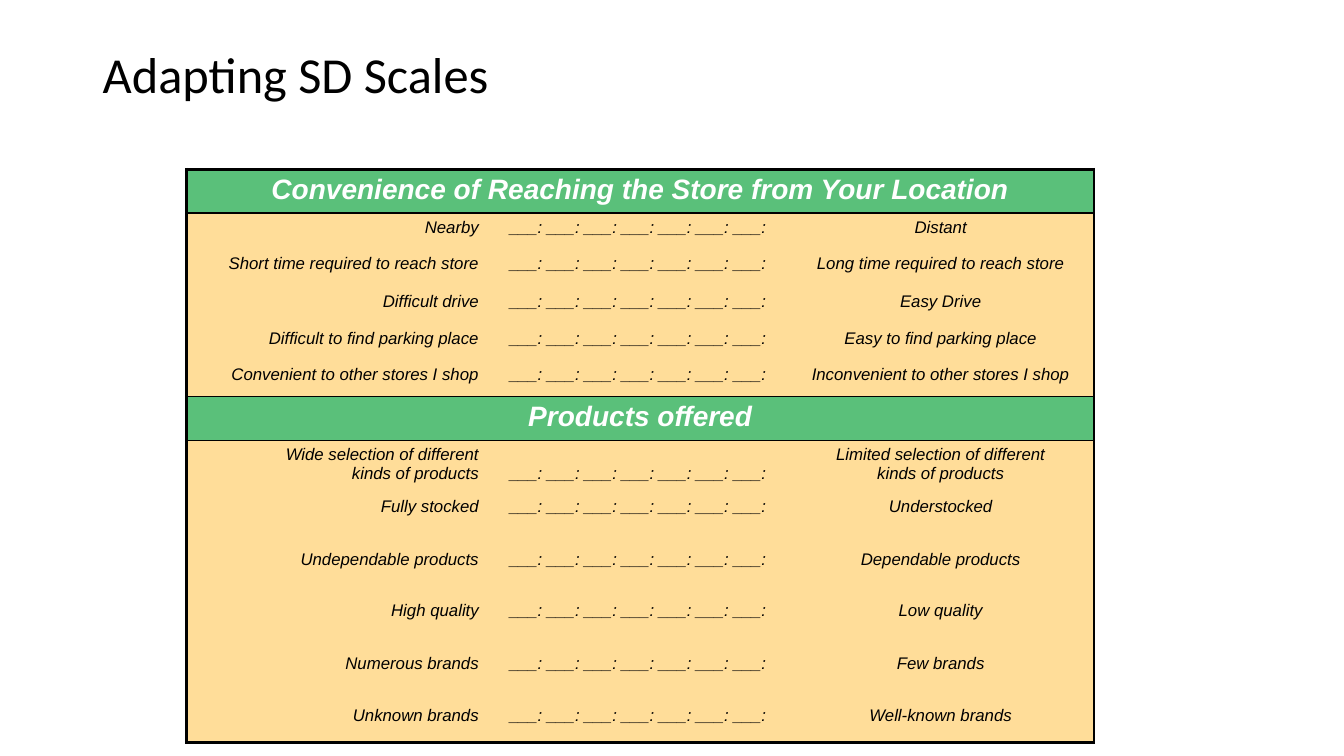
from pptx import Presentation
from pptx.dml.color import RGBColor
from pptx.enum.text import PP_ALIGN
from pptx.oxml.ns import qn
from pptx.util import Inches, Pt
from lxml.etree import SubElement

COLORS = {"black": "000000", "white": "FFFFFF", "green": "5AC07A", "sand": "FFDD99"}
SCALE = "___: ___: ___: ___: ___: ___: ___:"
THICK, THIN = 2.25, 1

groups = [
    ("Convenience of Reaching the Store from Your Location", [
        ("Nearby", "Distant", 0.36),
        ("Short time required to reach store", "Long time required to reach store", 0.38),
        ("Difficult drive", "Easy Drive", 0.36),
        ("Difficult to find parking place", "Easy to find parking place", 0.36),
        ("Convenient to other stores I shop", "Inconvenient to other stores I shop", 0.36),
    ]),
    ("Products offered", [
        ("Wide selection of different\vkinds of products",
         "Limited selection of different\vkinds of products", 0.52),
        ("Fully stocked", "Understocked", 0.52),
        ("Undependable products", "Dependable products", 0.51),
        ("High quality", "Low quality", 0.52),
        ("Numerous brands", "Few brands", 0.52),
        ("Unknown brands", "Well-known brands", 0.41),
    ]),
]


def write(para, text, font, size, color):
    for i, part in enumerate(text.split("\v")):
        if i:
            para.add_line_break()
        run = para.add_run()
        run.text = part
        run.font.name = font
        run.font.size = Pt(size)
        run.font.color.rgb = RGBColor.from_string(COLORS[color])


def border(cell, sides):
    props = cell._tc.get_or_add_tcPr()
    for side in "LRTB":
        width = sides.get(side, 0)
        line = SubElement(props, qn("a:ln" + side), w=str(int(Pt(width))))
        if width:
            fill = SubElement(line, qn("a:solidFill"))
            SubElement(fill, qn("a:srgbClr"), val=COLORS["black"])
        else:
            SubElement(line, qn("a:noFill"))


prs = Presentation()
prs.slide_width, prs.slide_height = Inches(13.33), Inches(7.5)
slide = prs.slides.add_slide(prs.slide_layouts[6])

title = slide.shapes.add_textbox(Inches(0.92), Inches(0.4), Inches(11.5), Inches(1.45))
title.text_frame.word_wrap = True
para = title.text_frame.paragraphs[0]
para.line_spacing = 0.9
write(para, "Adapting SD Scales", "Calibri", 36, "black")
write(para, " ", "Calibri", 40, "black")

rows = []
for head, pairs in groups:
    rows.append((True, 0.43, (head, "", "")))
    for left, right, height in pairs:
        rows.append((False, height, (left, SCALE, right)))

frame = slide.shapes.add_table(len(rows), 3, Inches(1.85), Inches(1.68), Inches(9), Inches(5.68))
table = frame.table
table.first_row = table.horz_banding = False
for col, width in zip(table.columns, (3, 2.96, 3.04)):
    col.width = Inches(width)

last = len(rows) - 1
for r, (head, height, texts) in enumerate(rows):
    table.rows[r].height = Inches(height)
    if head:
        table.cell(r, 0).merge(table.cell(r, 2))
    top = THICK if r == 0 else THIN if head or rows[r - 1][0] else 0
    base = THICK if r == last else THIN if head or rows[r + 1][0] else 0
    for c, text in enumerate(texts):
        cell = table.cell(r, c)
        sides = {"T": top, "B": base}
        if c == 0:
            sides["L"] = THICK
        if c == 2 or head:
            sides["R"] = THICK
        border(cell, sides)
        cell.fill.solid()
        cell.fill.fore_color.rgb = RGBColor.from_string(COLORS["green" if head else "sand"])
        two = text == SCALE and "\v" in texts[0]
        cell.margin_top = Inches(0.24 if two else 0.05)
        para = cell.text_frame.paragraphs[0]
        para.alignment = PP_ALIGN.RIGHT if c == 0 and not head else PP_ALIGN.CENTER
        if text:
            write(para, text, "Arial", 20 if head else 12, "white" if head else "black")
        for run in para.runs:
            run.font.bold = head
            run.font.italic = True

prs.save("out.pptx")
